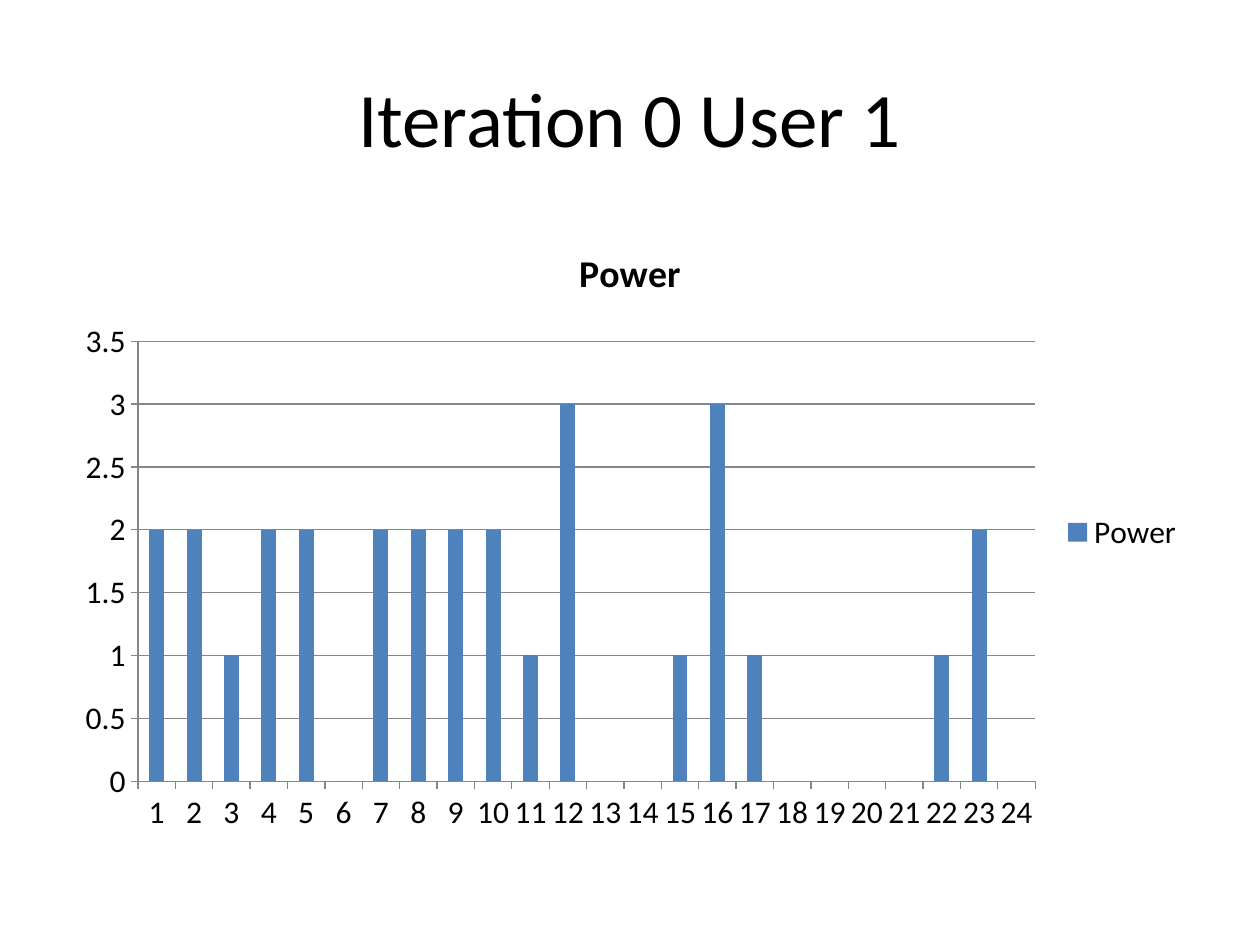
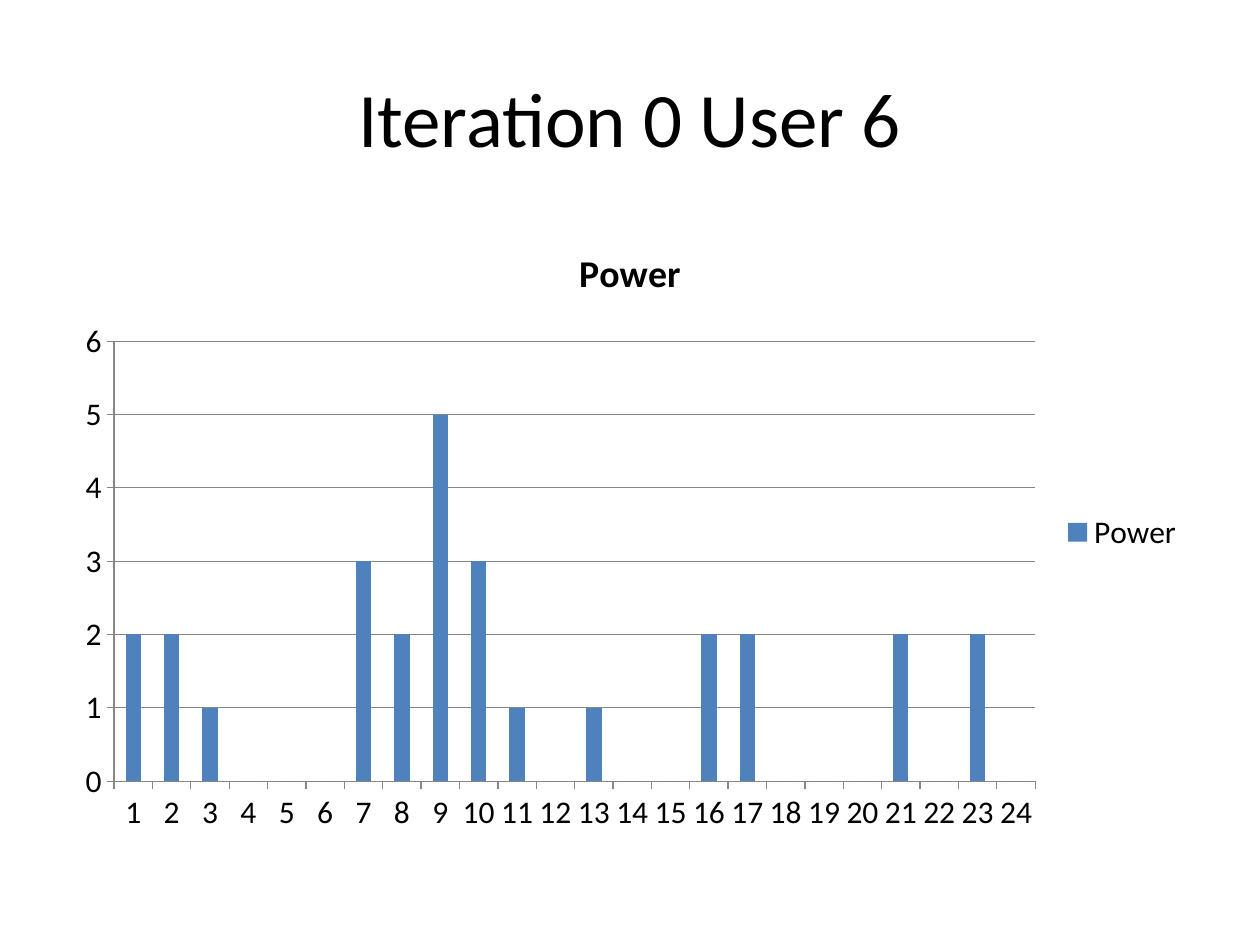
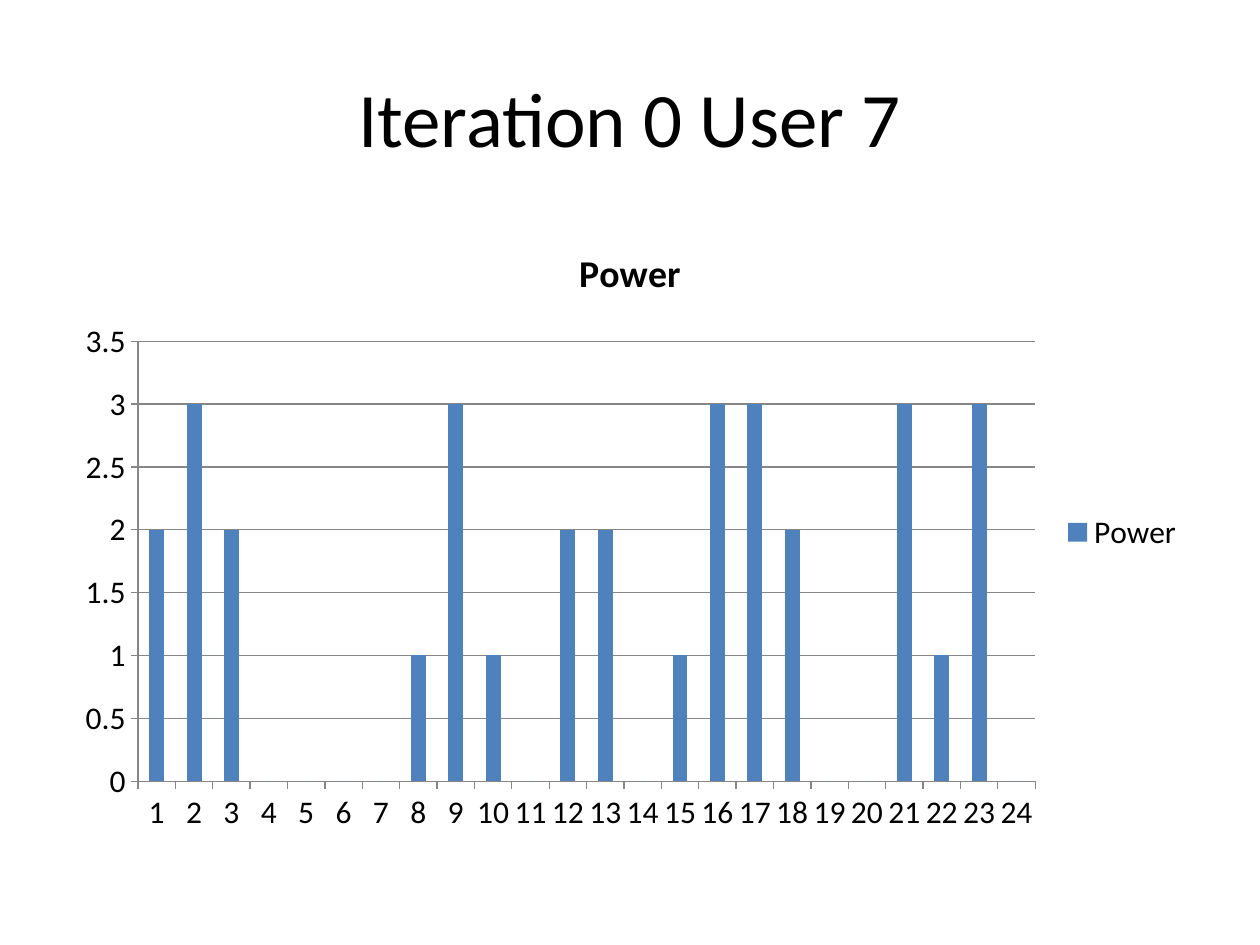
from pptx import Presentation
from pptx.chart.data import CategoryChartData
from pptx.dml.color import RGBColor
from pptx.enum import chart as ch, text as tx
from pptx.util import Pt

COLORS = {"text": "000000", "bar": "4F81BD", "line": "868686", "background": "FFFFFF"}
FONT = "Calibri"
LEFT, WIDTH = 36, 648
HOURS = [str(hour) for hour in range(1, 25)]
POWER_BY_USER = {
    1: [2, 2, 1, 2, 2, 0, 2, 2, 2, 2, 1, 3, 0, 0, 1, 3, 1, 0, 0, 0, 0, 1, 2, 0],
    6: [2, 2, 1, 0, 0, 0, 3, 2, 5, 3, 1, 0, 1, 0, 0, 2, 2, 0, 0, 0, 2, 0, 2, 0],
    7: [2, 3, 2, 0, 0, 0, 0, 1, 3, 1, 0, 2, 2, 0, 1, 3, 3, 2, 0, 0, 3, 1, 3, 0],
}


def color(name):
    return RGBColor.from_string(COLORS[name])


def style_font(font, size, bold=False):
    font.name = FONT
    font.size = Pt(size)
    font.bold = bold
    font.color.rgb = color("text")


def write(frame, wording, size, bold=False, align=tx.PP_ALIGN.CENTER):
    paragraph = frame.paragraphs[0]
    paragraph.alignment = align
    run = paragraph.add_run()
    run.text = wording
    style_font(run.font, size, bold)


def style_line(line):
    line.color.rgb = color("line")
    line.width = Pt(0.75)


def add_heading(slide, wording):
    heading = slide.shapes.title
    heading.left, heading.top = Pt(LEFT), Pt(21.6)
    heading.width, heading.height = Pt(WIDTH), Pt(90)
    heading.text_frame.vertical_anchor = tx.MSO_ANCHOR.MIDDLE
    write(heading.text_frame, wording, 44)


def add_power_chart(slide, power):
    data = CategoryChartData()
    data.categories = HOURS
    data.add_series("Power", power)
    chart = slide.shapes.add_chart(
        ch.XL_CHART_TYPE.COLUMN_CLUSTERED,
        Pt(LEFT), Pt(126), Pt(WIDTH), Pt(356.4), data).chart
    style_font(chart.font, 18)
    chart.has_title = True
    write(chart.chart_title.text_frame, "Power", 21.6, bold=True)
    chart.chart_title.include_in_layout = False
    chart.has_legend = True
    chart.legend.position = ch.XL_LEGEND_POSITION.RIGHT
    chart.legend.include_in_layout = False

    for axis in (chart.category_axis, chart.value_axis):
        axis.major_tick_mark = ch.XL_TICK_MARK.OUTSIDE
        axis.minor_tick_mark = ch.XL_TICK_MARK.NONE
        style_line(axis.format.line)
    chart.value_axis.has_major_gridlines = True
    style_line(chart.value_axis.major_gridlines.format.line)

    columns = chart.plots[0]
    columns.vary_by_categories = False
    columns.gap_width = 150
    fill = columns.series[0].format.fill
    fill.solid()
    fill.fore_color.rgb = color("bar")


def main():
    deck = Presentation()
    deck.slide_width, deck.slide_height = Pt(720), Pt(540)
    background = deck.slide_master.background.fill
    background.solid()
    background.fore_color.rgb = color("background")
    title_only = deck.slide_layouts[5]
    for user, power in POWER_BY_USER.items():
        slide = deck.slides.add_slide(title_only)
        add_heading(slide, f"Iteration 0 User {user}")
        add_power_chart(slide, power)
    deck.save("out.pptx")


main()
